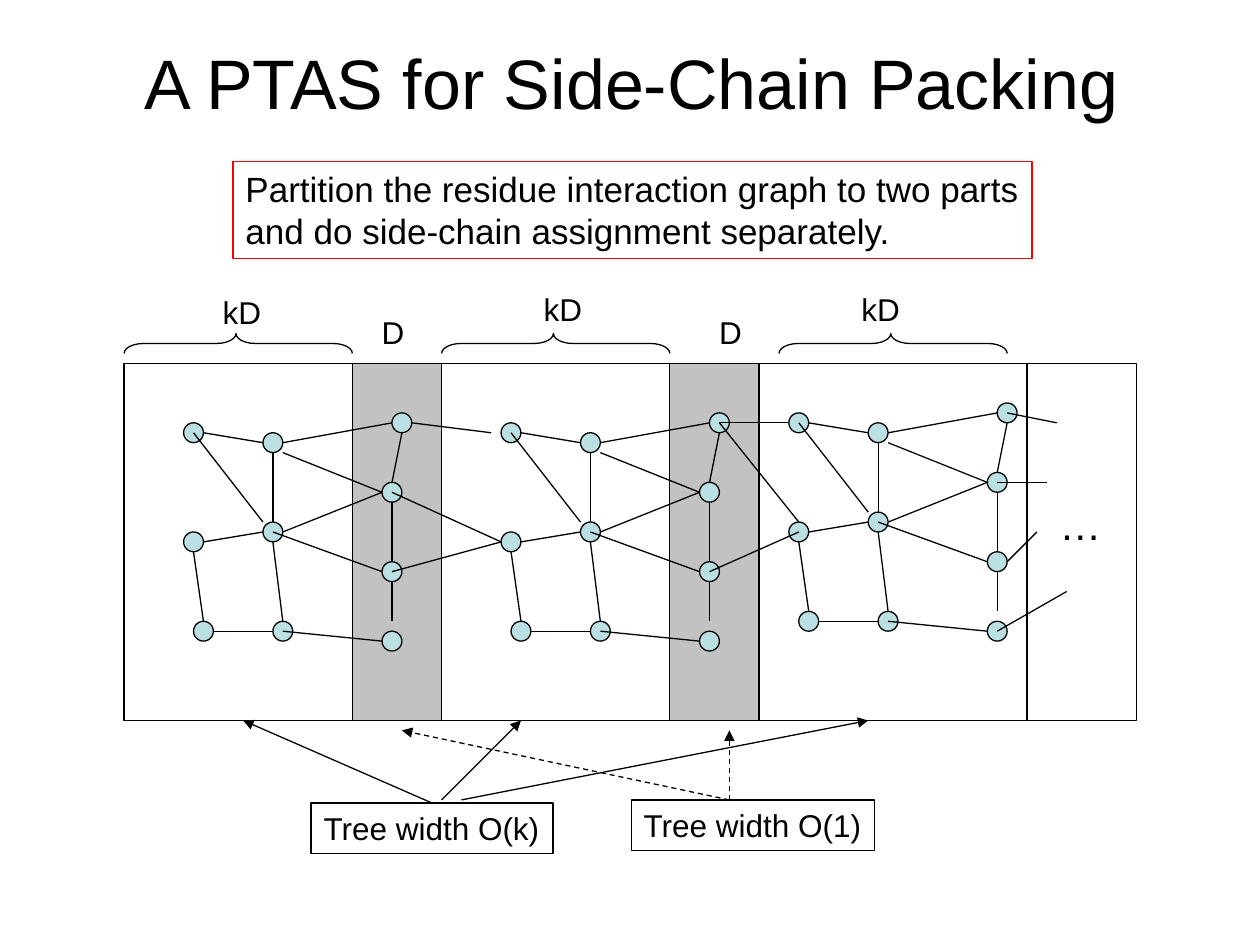
from typing import NamedTuple, Optional

import lxml.etree
import pptx
import pptx.dml.color
import pptx.enum.dml
import pptx.enum.shapes
import pptx.enum.text
import pptx.oxml.ns
import pptx.util

COLORS = {"ink": "000000", "node": "BBE0E3", "band": "808080", "accent": "FF0000"}
GRID = 5.67
ORIGIN_X, ORIGIN_Y = 110.6, 247.3
LINE_WIDTH = 0.75
MSO_SHAPE = pptx.enum.shapes.MSO_SHAPE


class Label(NamedTuple):
    lines: tuple[str, ...]
    left: float
    top: float
    width: float
    height: float
    size: float = 18
    border: Optional[str] = None
    wrap: bool = False
    centered: bool = False


class Edge(NamedTuple):
    x1: float
    y1: float
    x2: float
    y2: float
    arrow: bool = False
    dashed: bool = False


class Node(NamedTuple):
    x: float
    y: float


class Block(NamedTuple):
    dx: float
    dy: float


BLOCKS = [Block(0, 0), Block(32, 0), Block(61, -1)]
BLOCK_NODES = [
    Node(0, 0), Node(8, 1), Node(0, 11), Node(8, 10), Node(1, 20),
    Node(9, 20), Node(20, 6), Node(20, 21), Node(21, -1), Node(20, 14),
]
BLOCK_EDGES = [
    Edge(1, 0, 7, 1), Edge(9, 1, 20, -1), Edge(8, 2, 8, 9), Edge(1, 11, 7, 10),
    Edge(0, 12, 1, 19), Edge(2, 20, 8, 20), Edge(8, 11, 9, 19), Edge(9, 10, 19, 6),
    Edge(9, 2, 19, 6), Edge(8, 10, 19, 14), Edge(9, 20, 19, 21), Edge(20, 7, 20, 13),
    Edge(20, 15, 20, 19), Edge(21, 0, 20, 5), Edge(0, 0, 7, 9),
]
CROSS_EDGES = [
    Edge(22, -1, 30, 0), Edge(20, 14, 31, 11), Edge(20, 6, 31, 11),
    Edge(52, 14, 61, 10), Edge(53, -1, 60, -1), Edge(53, -1, 61, 9),
    Edge(84, -7, 84, 29), Edge(81, 5, 86, 5), Edge(82, 13, 85, 10),
    Edge(81, 20, 88, 16), Edge(82, -2, 87, -1),
]
ARROWS = [
    Edge(25, 37, 33, 29, arrow=True), Edge(27, 37, 68, 29, arrow=True),
    Edge(54, 37, 21, 30, arrow=True, dashed=True),
    Edge(54, 37, 54, 30, arrow=True, dashed=True),
]
CENTER_ARROW = Edge(24, 37, 5, 29, arrow=True)
BAND_STARTS = [16, 48]
BRACE_STARTS = [-7, 25, 59]
BRACE_SPAN = 23

LABELS = [
    Label(("A PTAS for Side-Chain Packing",), 36.7, 15.1, 648, 62.6, 40, wrap=True, centered=True),
    Label(("Partition the residue interaction graph to two parts",
           "and do side-chain assignment separately."), 133.2, 92.2, 456.5, 55.4, 20, "accent"),
    Label(("…",), 598.3, 281.5, 39.6, 36, 24, wrap=True),
    Label(("D",), 211, 175.3, 28, 28.8),
    Label(("D",), 403.9, 175.3, 28, 28.8),
    Label(("kD",), 120.2, 163.8, 38, 28.8),
    Label(("kD",), 303.6, 162, 38, 28.8),
    Label(("kD",), 485.1, 162, 38, 28.8),
    Label(("Tree width O(1)",), 360.7, 457.2, 139, 28.8, border="ink"),
]
WIDE_LABEL = Label(("Tree width O(k)",), 177.8, 458.9, 138.2, 28.8, border="ink")


def rgb(name: str):
    return pptx.dml.color.RGBColor.from_string(COLORS[name])


def grid_x(column: float):
    return pptx.util.Pt(ORIGIN_X + GRID * column)


def grid_y(row: float):
    return pptx.util.Pt(ORIGIN_Y + GRID * row)


def set_line(line, color: str) -> None:
    line.color.rgb = rgb(color)
    line.width = pptx.util.Pt(LINE_WIDTH)


def add_label(slide, label: Label):
    box = slide.shapes.add_textbox(*map(pptx.util.Pt, label[1:5]))
    if label.border:
        set_line(box.line, label.border)
    frame = box.text_frame
    frame.word_wrap = label.wrap
    if label.centered:
        frame.vertical_anchor = pptx.enum.text.MSO_ANCHOR.MIDDLE
    for index, text in enumerate(label.lines):
        paragraph = frame.add_paragraph() if index else frame.paragraphs[0]
        alignment = pptx.enum.text.PP_ALIGN
        paragraph.alignment = alignment.CENTER if label.centered else alignment.LEFT
        run = paragraph.add_run()
        run.text = text
        run.font.name = "Arial"
        run.font.size = pptx.util.Pt(label.size)
        run.font.color.rgb = rgb("ink")
    return box


def add_grid_shape(slide, kind, column: float, row: float, columns: float, rows: float,
                   fill: Optional[str] = None):
    shape = slide.shapes.add_shape(kind, grid_x(column), grid_y(row),
                                   pptx.util.Pt(GRID * columns), pptx.util.Pt(GRID * rows))
    shape.shadow.inherit = False
    set_line(shape.line, "ink")
    if fill:
        shape.fill.solid()
        shape.fill.fore_color.rgb = rgb(fill)
    else:
        shape.fill.background()
    return shape


def add_band(slide, start: float) -> None:
    band = add_grid_shape(slide, MSO_SHAPE.RECTANGLE, start, -7, 9, 36, "band")
    color = band.fill._xPr.find(".//" + pptx.oxml.ns.qn("a:srgbClr"))
    lxml.etree.SubElement(color, pptx.oxml.ns.qn("a:alpha"), val="48000")


def add_brace(slide, start: float) -> None:
    middle = start + BRACE_SPAN / 2
    brace = add_grid_shape(slide, MSO_SHAPE.RIGHT_BRACE, middle - 1, -9 - BRACE_SPAN / 2,
                           2, BRACE_SPAN)
    brace.rotation = 270
    brace.adjustments[0] = 0.98
    brace.adjustments[1] = 0.49


def add_edge(slide, edge: Edge, block: Block = BLOCKS[0]):
    connector = slide.shapes.add_connector(
        pptx.enum.shapes.MSO_CONNECTOR.STRAIGHT,
        grid_x(edge.x1 + block.dx), grid_y(edge.y1 + block.dy),
        grid_x(edge.x2 + block.dx), grid_y(edge.y2 + block.dy))
    set_line(connector.line, "ink")
    if edge.dashed:
        connector.line.dash_style = pptx.enum.dml.MSO_LINE.DASH
    if edge.arrow:
        lxml.etree.SubElement(connector.line._get_or_add_ln(),
                              pptx.oxml.ns.qn("a:tailEnd"), type="triangle")
    lxml.etree.SubElement(connector._element.spPr, pptx.oxml.ns.qn("a:effectLst"))
    return connector


def add_block(slide, block: Block) -> None:
    for node in BLOCK_NODES:
        add_grid_shape(slide, MSO_SHAPE.OVAL, node.x + block.dx - 1, node.y + block.dy - 1,
                       2, 2, "node")
    for edge in BLOCK_EDGES:
        add_edge(slide, edge, block)


def main() -> None:
    presentation = pptx.Presentation()
    presentation.slide_width = pptx.util.Pt(720)
    presentation.slide_height = pptx.util.Pt(540)
    slide = presentation.slides.add_slide(presentation.slide_layouts[6])
    add_grid_shape(slide, MSO_SHAPE.RECTANGLE, -7, -7, 102, 36)
    for start in BRACE_STARTS:
        add_brace(slide, start)
    for start in BAND_STARTS:
        add_band(slide, start)
    for block in BLOCKS:
        add_block(slide, block)
    for edge in CROSS_EDGES + ARROWS:
        add_edge(slide, edge)
    for label in LABELS:
        add_label(slide, label)
    wide_box = add_label(slide, WIDE_LABEL)
    add_edge(slide, CENTER_ARROW).begin_connect(wide_box, 0)
    presentation.save("out.pptx")


if __name__ == "__main__":
    main()
